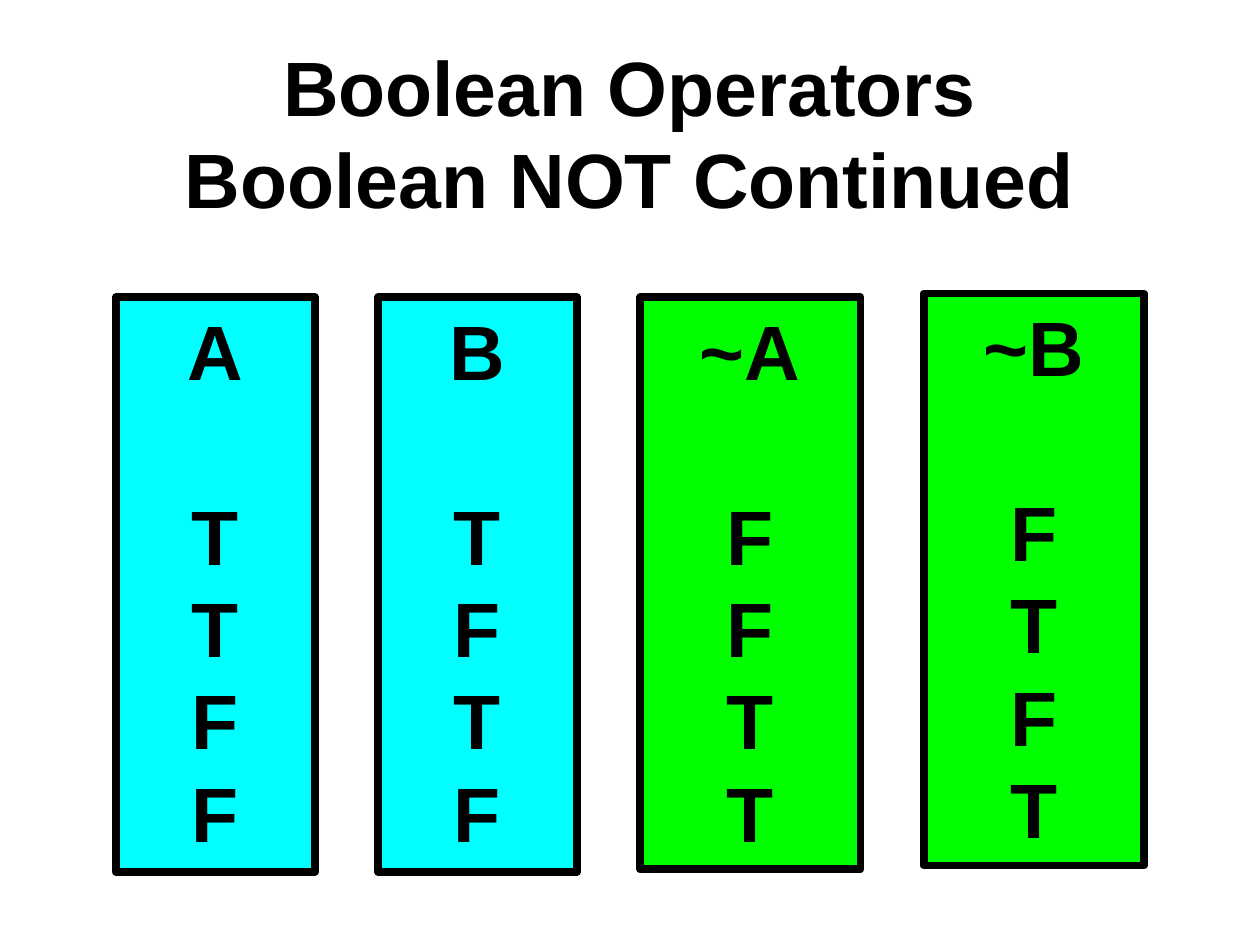
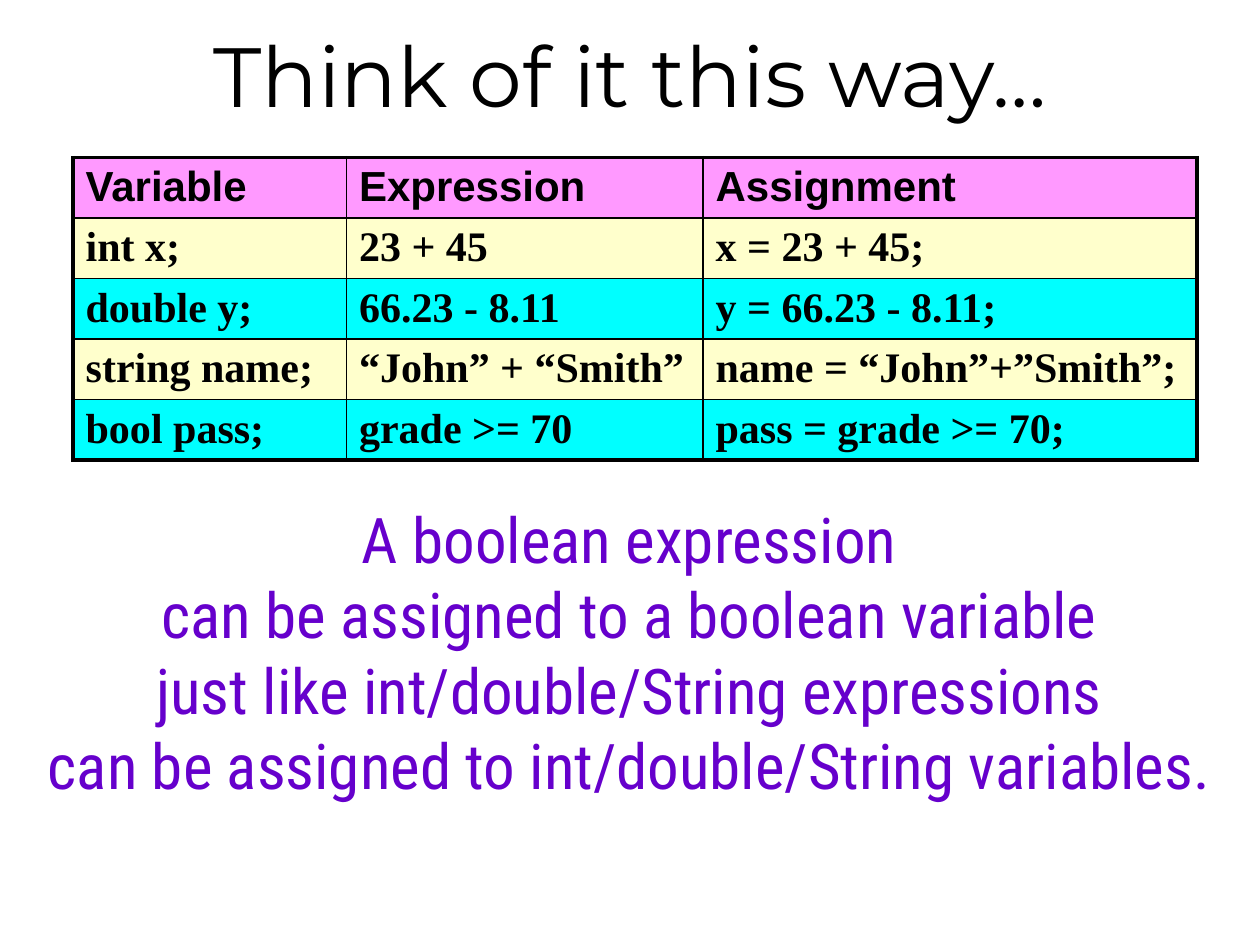
from dataclasses import dataclass

from lxml.etree import SubElement
from pptx import Presentation
from pptx.dml.color import RGBColor as RGB
from pptx.enum.shapes import MSO_SHAPE as SHAPE
from pptx.enum.text import MSO_ANCHOR as ANCHOR, PP_ALIGN as ALIGN
from pptx.oxml.ns import qn
from pptx.util import Inches, Pt


@dataclass(frozen=True)
class Theme:
    black: str = "000000"
    cyan: str = "00FFFF"
    green: str = "00FF00"
    pink: str = "FF99FF"
    cream: str = "FFFFCC"
    purple: str = "6600CC"
    sans: str = "Arial"
    serif: str = "Times New Roman"
    display: str = "Montserrat"
    condensed: str = "Roboto Condensed"
    big: int = 44
    headline: int = 48
    note: int = 36
    cell: int = 24
    frame: float = 4.5
    outer: float = 2.25
    inner: float = 1


T = Theme()
BOLD = dict(name=T.sans, size=Pt(T.big), bold=True)

# heading, values, (left, top, width, height), fill
TRUTH_COLUMNS = [
    ("A", "TTFF", (0.92, 2.36, 1.58, 4.56), T.cyan),
    ("B", "TFTF", (3, 2.36, 1.58, 4.56), T.cyan),
    ("~A", "FFTT", (5.08, 2.36, 1.75, 4.54), T.green),
    ("~B", "FTFT", (7.33, 2.33, 1.75, 4.54), T.green),
]
ASSIGNMENTS = [
    ("Variable", "Expression", "Assignment"),
    ("int x;", "23 + 45", "x = 23 + 45;"),
    ("double y;", "66.23 - 8.11", "y = 66.23 - 8.11;"),
    ("string name;", "“John” + “Smith”", "name = “John”+”Smith”;"),
    ("bool pass;", "grade >= 70", "pass = grade >= 70;"),
]
COLUMN_WIDTHS = (2.17, 2.83, 3.92)
ROW_HEIGHT = 0.47
NOTE = [
    "A boolean expression",
    "can be assigned to a boolean variable",
    "just like int/double/String expressions",
    "can be assigned to int/double/String variables.",
]


def write(tf, lines, style, color=T.black, align=ALIGN.CENTER):
    """Fill a text frame with one paragraph for each line."""
    for i, line in enumerate(lines):
        p = tf.add_paragraph() if i else tf.paragraphs[0]
        p.alignment = align
        p.text = line
        for r in p.runs:
            for key, value in style.items():
                setattr(r.font, key, value)
            r.font.color.rgb = RGB.from_string(color)


def add_text(s, box, lines, style, color=T.black, anchor=ANCHOR.TOP, wrap=True):
    tf = s.shapes.add_textbox(*map(Inches, box)).text_frame
    tf.word_wrap, tf.vertical_anchor = wrap, anchor
    write(tf, lines, style, color)


def add_title(s, box, text, style):
    add_text(s, box, [text], style, anchor=ANCHOR.MIDDLE)


def add_truth_column(s, heading, values, box, fill):
    sp = s.shapes.add_shape(SHAPE.RECTANGLE, *map(Inches, box))
    sp.shadow.inherit = False
    sp.fill.solid()
    sp.fill.fore_color.rgb = RGB.from_string(fill)
    sp.line.color.rgb = RGB.from_string(T.black)
    sp.line.width = Pt(T.frame)
    tf = sp.text_frame
    tf.vertical_anchor = ANCHOR.TOP
    write(tf, [heading, *values], BOLD)
    tf.paragraphs[0].space_after = Pt(1.2 * T.big)


def set_borders(cell, widths):
    """Draw the left, right, top and bottom edges, ahead of the cell fill."""
    tcPr = cell._tc.get_or_add_tcPr()
    for i, (side, width) in enumerate(zip("LRTB", widths)):
        ln = SubElement(tcPr, qn(f"a:ln{side}"), w=str(Pt(width)))
        SubElement(SubElement(ln, qn("a:solidFill")), qn("a:srgbClr"), val=T.black)
        tcPr.insert(i, ln)


def add_assignment_table(s, left, top):
    n_rows, n_cols = len(ASSIGNMENTS), len(COLUMN_WIDTHS)
    size = sum(COLUMN_WIDTHS), n_rows * ROW_HEIGHT
    table = s.shapes.add_table(n_rows, n_cols, *map(Inches, (left, top, *size))).table
    for column, width in zip(table.columns, COLUMN_WIDTHS):
        column.width = Inches(width)
    for i, row in enumerate(ASSIGNMENTS):
        table.rows[i].height = Inches(ROW_HEIGHT)
        fill = (T.cream if i % 2 else T.cyan) if i else T.pink
        style = dict(name=T.serif if i else T.sans, size=Pt(T.cell), bold=True)
        for j, text in enumerate(row):
            cell = table.cell(i, j)
            cell.margin_bottom = Inches(0.03)
            cell.fill.solid()
            cell.fill.fore_color.rgb = RGB.from_string(fill)
            write(cell.text_frame, [text], style, align=ALIGN.LEFT)
            on_edge = j == 0, j == n_cols - 1, i == 0, i == n_rows - 1
            set_borders(cell, [T.outer if edge else T.inner for edge in on_edge])


def main():
    prs = Presentation()
    prs.slide_width, prs.slide_height = Inches(10), Inches(7.5)
    blank = prs.slide_layouts[6]

    s = prs.slides.add_slide(blank)
    add_title(s, (0.75, 0.42, 8.5, 1.25), "Boolean Operators\vBoolean NOT Continued", BOLD)
    for column in TRUTH_COLUMNS:
        add_truth_column(s, *column)

    s = prs.slides.add_slide(blank)
    add_title(s, (0, 0, 10, 1.17), "Think of it this way…",
              dict(name=T.display, size=Pt(T.headline)))
    add_assignment_table(s, 0.58, 1.25)
    add_text(s, (0.16, 3.92, 9.67, 3.27), NOTE,
             dict(name=T.condensed, size=Pt(T.note)), T.purple, wrap=False)

    prs.save("out.pptx")


if __name__ == "__main__":
    main()
